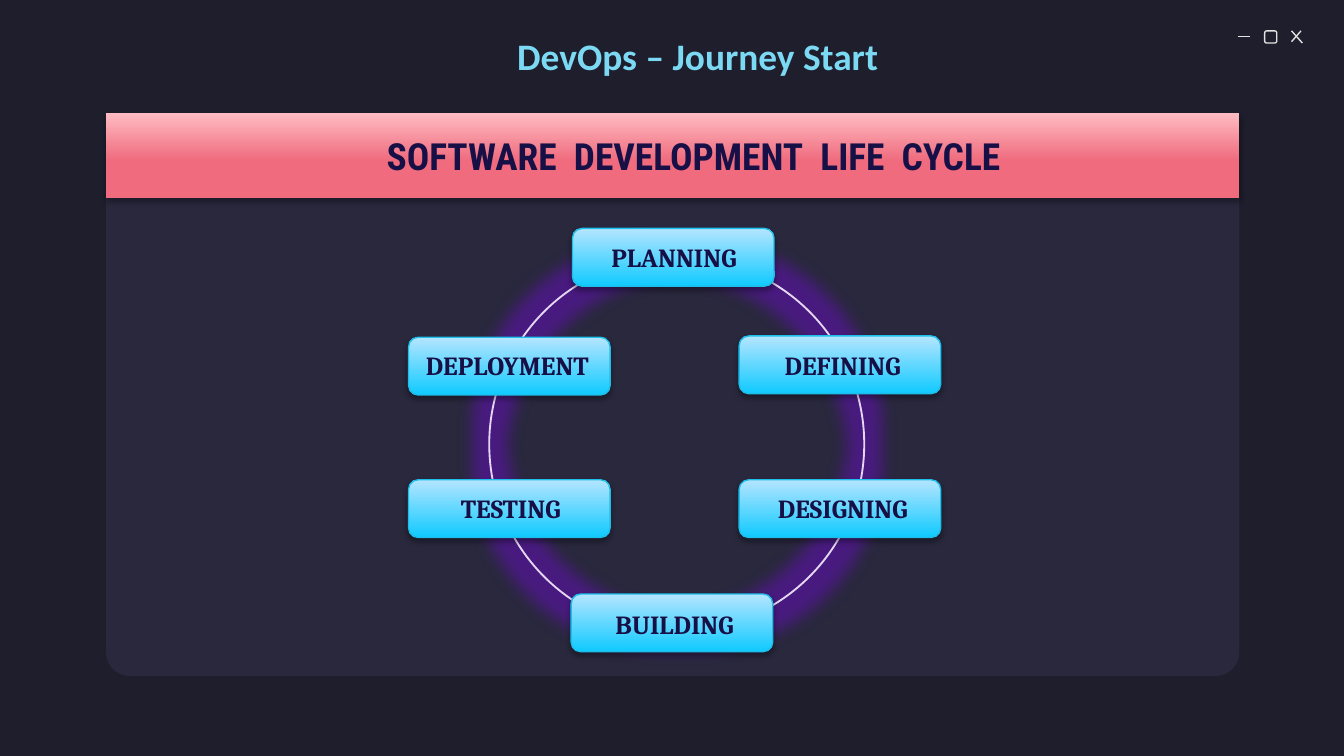
from pptx import Presentation
from pptx.dml.color import RGBColor
from pptx.enum import shapes as kinds, text as txt
from pptx.oxml import parse_xml
from pptx.oxml.ns import nsdecls
from pptx.util import Inches, Pt

SHADOW = ('<a:outerShdw blurRad="40000" dist="23000" dir="5400000" rotWithShape="0">'
          '<a:srgbClr val="000000"><a:alpha val="35000"/></a:srgbClr></a:outerShdw>')
GLOW = ('<a:glow rad="228600"><a:srgbClr val="5E12AC">'
        '<a:alpha val="60000"/></a:srgbClr></a:glow>')
ROUND = kinds.MSO_SHAPE.ROUNDED_RECTANGLE
rgb = RGBColor.from_string


def style(item, fill=None, line=None, width=0.75, effect=""):
    """Set fill (one colour, or stops from bottom to top), line and effect."""
    if isinstance(fill, list):
        item.fill.gradient()
        item.fill.gradient_angle = 90
        for stop, (place, tint) in zip(item.fill.gradient_stops, fill):
            stop.position = place
            stop.color.rgb = rgb(tint)
    elif fill:
        item.fill.solid()
        item.fill.fore_color.rgb = rgb(fill)
    elif hasattr(item, "fill"):
        item.fill.background()
    if line:
        item.line.color.rgb = rgb(line)
        item.line.width = Pt(width)
    else:
        item.line.fill.background()
    item._element.spPr.append(parse_xml(
        f'<a:effectLst {nsdecls("a")}>{effect}</a:effectLst>'))


def write(item, words, size, face, tint, left=0.1, right=0.1):
    """Add a bold run of text to a shape."""
    frame = item.text_frame
    form = {"word_wrap": True, "auto_size": txt.MSO_AUTO_SIZE.NONE,
            "vertical_anchor": txt.MSO_ANCHOR.MIDDLE,
            "margin_left": Inches(left), "margin_right": Inches(right),
            "margin_top": Inches(0.1), "margin_bottom": Inches(0.1)}
    for key, value in form.items():
        setattr(frame, key, value)
    run = frame.paragraphs[0].add_run()
    run.text = words
    for key, value in {"size": Pt(size), "name": face, "bold": True}.items():
        setattr(run.font, key, value)
    run.font.color.rgb = rgb(tint)
    return run


# A 16:9 slide
deck = Presentation()
deck.slide_width, deck.slide_height = Inches(10), Inches(10 * 9 / 16)
slide = deck.slides.add_slide(deck.slide_layouts[5])
slide.background.fill.solid()
slide.background.fill.fore_color.rgb = rgb("1E1E2C")
parts = slide.shapes

# Panel
panel = parts.add_shape(ROUND, *map(Inches, (0.79, 1.3, 8.43, 3.73)))
panel.adjustments[0] = 0.047
style(panel, fill="29283D")

# Window buttons
for ends in ((9.21, 0.27, 9.3, 0.27), (9.61, 0.23, 9.69, 0.32), (9.68, 0.23, 9.61, 0.31)):
    stroke = parts.add_connector(kinds.MSO_CONNECTOR.STRAIGHT, *map(Inches, ends))
    style(stroke, line="E2E2E2")
square = parts.add_shape(ROUND, *map(Inches, (9.41, 0.23, 0.09, 0.09)))
style(square, line="E2E2E2")

# Title banner, in front of the panel, with wide gaps between its words
title = parts.title
parts._spTree.append(title._element)
place = {"left": 0.79, "top": 0.84, "width": 8.43, "height": 0.63}
for key, value in place.items():
    setattr(title, key, Inches(value))
style(title, fill=[(0.43, "EF6B7D"), (1, "FFBCC3")], effect=SHADOW)
for piece in ("SOFTWARE", " ", "DEVELOPMENT", " ", "LIFE", " ", "CYCLE"):
    run = write(title, piece, 20, "Roboto Condensed", "161046", left=0.41)
    if piece == " ":
        run.font._element.set("spc", "450")
title.text_frame.paragraphs[0].alignment = txt.PP_ALIGN.CENTER

# Heading
head = parts.add_textbox(*map(Inches, (3.75, 0.07, 3.03, 0.68)))
write(head, "DevOps – Journey Start", 20, "Calibri", "7CD9F3")

# Cycle ring
ring = parts.add_shape(kinds.MSO_SHAPE.OVAL, *map(Inches, (3.64, 1.91, 2.79, 2.79)))
style(ring, line="E5D7F3", width=1, effect=GLOW)

# Steps: name, button left and top, label left, top and width
steps = [
    ("PLANNING", 4.26, 1.7, 4.45, 1.57, 1.15),
    ("DEFINING", 5.5, 2.5, 5.74, 2.38, 1.15),
    ("DESIGNING", 5.5, 3.57, 5.69, 3.44, 1.22),
    ("BUILDING", 4.25, 4.42, 4.48, 4.3, 1.15),
    ("TESTING", 3.04, 3.57, 3.33, 3.44, 1.15),
    ("DEPLOYMENT", 3.04, 2.51, 3.07, 2.38, 1.53),
]
for name, left, top, start, high, wide in steps:
    button = parts.add_shape(ROUND, *map(Inches, (left, top, 1.5, 0.43)))
    style(button, [(0, "10CAFF"), (1, "B4E5FF")], "1EBEEB", effect=SHADOW)
    label = parts.add_textbox(*map(Inches, (start, high, wide, 0.68)))
    write(label, name, 14, "Cambria", "161046", right=0)

deck.save("out.pptx")
